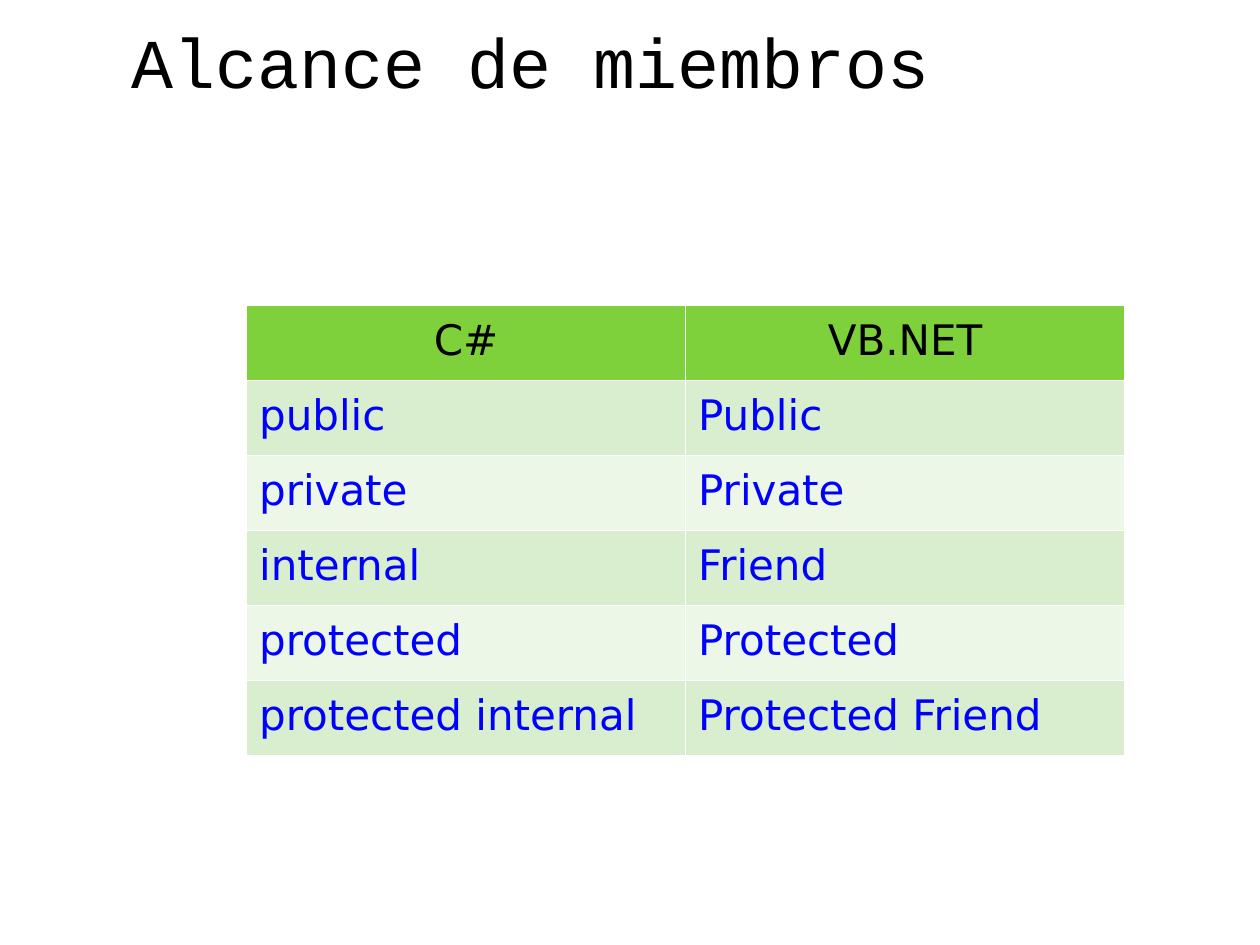
from dataclasses import dataclass

from lxml.etree import SubElement
from pptx import Presentation
from pptx.dml.color import RGBColor as Color
from pptx.enum.text import MSO_ANCHOR as Anchor, PP_ALIGN as Align
from pptx.oxml.ns import qn
from pptx.util import Cm, Pt


@dataclass(frozen=True)
class Theme:
    title_font: str = "Courier New"
    table_font: str = "DejaVu Sans"
    title_size: float = 40
    table_size: float = 24
    line_spacing: float = 0.86
    border_width: float = 0.06
    ink: str = "000000"
    keyword: str = "0000FF"
    border: str = "FFFFFF"
    header: str = "7FD13B"
    bands: tuple = ("D8EECE", "ECF7E8")


THEME = Theme()
ROWS = [
    ("C#", "VB.NET"),
    ("public", "Public"),
    ("private", "Private"),
    ("internal", "Friend"),
    ("protected", "Protected"),
    ("protected internal", "Protected Friend"),
]
COLUMN_WIDTH = Cm(8.85)
ROW_HEIGHT = Cm(1.51)


def add_span(para, text, font, size, color):
    span = para.add_run()
    span.text = text
    span.font.name = font
    span.font.size = Pt(size)
    span.font.color.rgb = Color.from_string(color)


def add_title(page, text):
    box = page.shapes.add_textbox(Cm(2.41), Cm(-0.05), Cm(21.59), Cm(2.54))
    frame = box.text_frame
    frame.word_wrap = True
    frame.vertical_anchor = Anchor.MIDDLE
    add_span(frame.paragraphs[0], text, THEME.title_font, THEME.title_size, THEME.ink)


def set_borders(cell):
    properties = cell._tc.get_or_add_tcPr()
    for position, side in enumerate(("lnL", "lnR", "lnT", "lnB")):
        line = SubElement(properties, qn(f"a:{side}"), w=str(Pt(THEME.border_width)))
        fill = SubElement(line, qn("a:solidFill"))
        SubElement(fill, qn("a:srgbClr"), val=THEME.border)
        properties.insert(position, line)


def fill_cell(cell, text, background, color, align):
    cell.fill.solid()
    cell.fill.fore_color.rgb = Color.from_string(background)
    cell.vertical_anchor = Anchor.MIDDLE
    set_borders(cell)
    para = cell.text_frame.paragraphs[0]
    para.alignment = align
    para.line_spacing = THEME.line_spacing
    add_span(para, text, THEME.table_font, THEME.table_size, color)


def add_scope_table(page, rows):
    columns = len(rows[0])
    table = page.shapes.add_table(
        len(rows), columns, Cm(4.97), Cm(6.16),
        COLUMN_WIDTH * columns, ROW_HEIGHT * len(rows),
    ).table
    for column in table.columns:
        column.width = COLUMN_WIDTH
    for index, texts in enumerate(rows):
        table.rows[index].height = ROW_HEIGHT
        if index == 0:
            style = (THEME.header, THEME.ink, Align.CENTER)
        else:
            style = (THEME.bands[(index - 1) % 2], THEME.keyword, Align.LEFT)
        for column, text in enumerate(texts):
            fill_cell(table.cell(index, column), text, *style)


def main():
    deck = Presentation()
    deck.slide_width = Cm(25.4)
    deck.slide_height = Cm(19.05)
    page = deck.slides.add_slide(deck.slide_layouts[6])
    add_title(page, "Alcance de miembros")
    add_scope_table(page, ROWS)
    deck.save("out.pptx")


if __name__ == "__main__":
    main()
